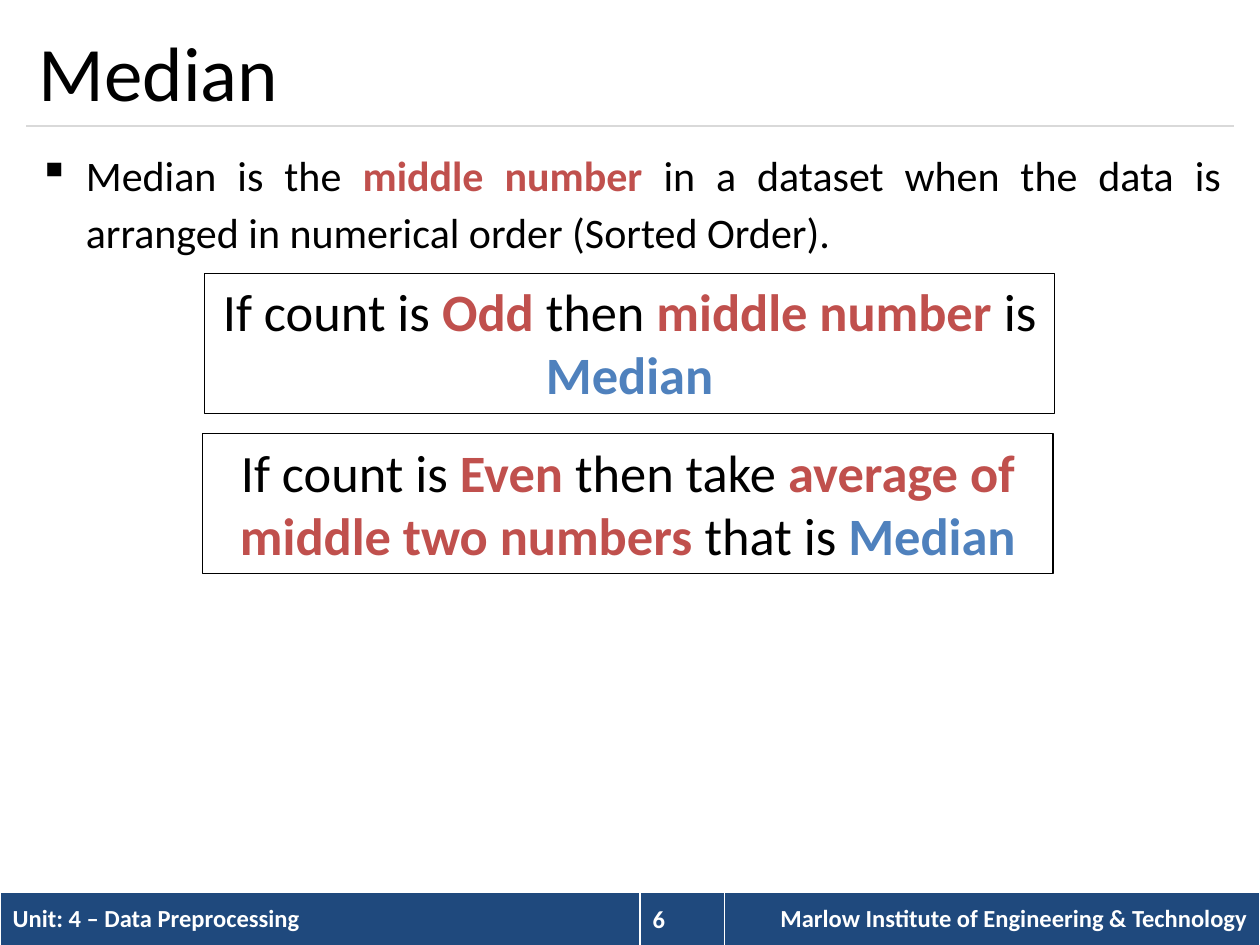
from typing import NamedTuple

from lxml import etree
from pptx import Presentation
from pptx.dml.color import RGBColor
from pptx.enum.shapes import MSO_CONNECTOR, MSO_SHAPE
from pptx.enum.text import MSO_ANCHOR, PP_ALIGN
from pptx.oxml.ns import qn
from pptx.util import Pt

BLACK = RGBColor(0x00, 0x00, 0x00)
WHITE = RGBColor(0xFF, 0xFF, 0xFF)
RED = RGBColor(0xC0, 0x50, 0x4D)
BLUE = RGBColor(0x4F, 0x81, 0xBD)
NAVY = RGBColor(0x1F, 0x49, 0x7D)
GREY = RGBColor(0xD9, 0xD9, 0xD9)
LEFT, CENTER, RIGHT = PP_ALIGN.LEFT, PP_ALIGN.CENTER, PP_ALIGN.RIGHT
JUSTIFY = PP_ALIGN.JUSTIFY
TOP, MIDDLE = MSO_ANCHOR.TOP, MSO_ANCHOR.MIDDLE
FONT = "Calibri"


class Piece(NamedTuple):
    text: str
    color: RGBColor = BLACK
    bold: bool = False


class Rule(NamedTuple):
    left: float
    top: float
    pieces: list[Piece]


def red(text: str) -> Piece:
    return Piece(text, RED, True)


def white(text: str) -> Piece:
    return Piece(text, WHITE, True)


MEDIAN = Piece("Median", BLUE, True)
RULES = [
    Rule(116.8, 156.2, [Piece("If count is "), red("Odd "), Piece("then"),
                        red(" middle number "), Piece("is "), MEDIAN]),
    Rule(115.8, 247.9, [Piece("If count is "), red("Even "), Piece("then take"),
                        red(" average of middle two numbers "),
                        Piece("that is "), MEDIAN]),
]
DEFINITION = [
    Piece("Median is the "), red("middle number "),
    Piece("in a dataset when the data is arranged in numerical order (Sorted Order)."),
]
FOOTER_TOP = 509.8
FOOTER_COLUMNS = [
    (365.8, "Unit: 4 – Data Preprocessing", LEFT),
    (48.2, "", LEFT),
    (306, "Marlow Institute of Engineering & Technology", RIGHT),
]


def write(text_frame, pieces: list[Piece], *, size: float, align=LEFT, anchor=TOP):
    """Fill the first paragraph with formatted runs and return it."""
    text_frame.word_wrap = True
    text_frame.vertical_anchor = anchor
    paragraph = text_frame.paragraphs[0]
    paragraph.alignment = align
    for piece in pieces:
        run = paragraph.add_run()
        run.text = piece.text
        run.font.name = FONT
        run.font.size = Pt(size)
        run.font.bold = piece.bold
        run.font.color.rgb = piece.color
    return paragraph


def add_text(slide, left: float, top: float, width: float, height: float,
             pieces: list[Piece], **text_format):
    box = slide.shapes.add_textbox(Pt(left), Pt(top), Pt(width), Pt(height))
    return write(box.text_frame, pieces, **text_format)


def add_bullet(paragraph, character: str, indent: float) -> None:
    properties = paragraph._p.get_or_add_pPr()
    properties.set("marL", str(Pt(indent)))
    properties.set("indent", str(-Pt(indent)))
    etree.SubElement(properties, qn("a:buChar")).set("char", character)


def add_rule(slide, rule: Rule) -> None:
    shape = slide.shapes.add_shape(
        MSO_SHAPE.RECTANGLE, Pt(rule.left), Pt(rule.top), Pt(486), Pt(80))
    shape.shadow.inherit = False
    shape.fill.background()
    shape.line.color.rgb = BLACK
    shape.line.width = Pt(0.75)
    write(shape.text_frame, rule.pieces, size=30, align=CENTER)


def add_footer(slide) -> None:
    frame = slide.shapes.add_table(
        1, len(FOOTER_COLUMNS), Pt(0), Pt(FOOTER_TOP), Pt(720), Pt(30.6))
    table = frame.table
    for index, (width, text, align) in enumerate(FOOTER_COLUMNS):
        table.columns[index].width = Pt(width)
        cell = table.cell(0, index)
        cell.fill.solid()
        cell.fill.fore_color.rgb = NAVY
        cell.vertical_anchor = MIDDLE
        if text:
            write(cell.text_frame, [white(text)], size=14, align=align, anchor=MIDDLE)
    add_text(slide, 365.8, 512.8, 41.8, 24.2, [white("6")], size=14)


presentation = Presentation()
presentation.slide_width, presentation.slide_height = Pt(720), Pt(540)
slide = presentation.slides.add_slide(presentation.slide_layouts[6])

# Footer
add_footer(slide)

# Title and divider
add_text(slide, 15, 8.6, 690, 63.4, [Piece("Median")], size=44, anchor=MIDDLE)
divider = slide.shapes.add_connector(
    MSO_CONNECTOR.STRAIGHT, Pt(15), Pt(72), Pt(705), Pt(72))
divider.line.color.rgb = GREY
divider.line.width = Pt(0.75)
etree.SubElement(divider._element.spPr, qn("a:effectLst"))

# Definition
definition = add_text(slide, 15, 77.8, 690, 419.8, DEFINITION, size=24, align=JUSTIFY)
definition.line_spacing = 1.14
add_bullet(definition, "▪", 27)

# Odd and even rules
for rule in RULES:
    add_rule(slide, rule)

presentation.save("out.pptx")
